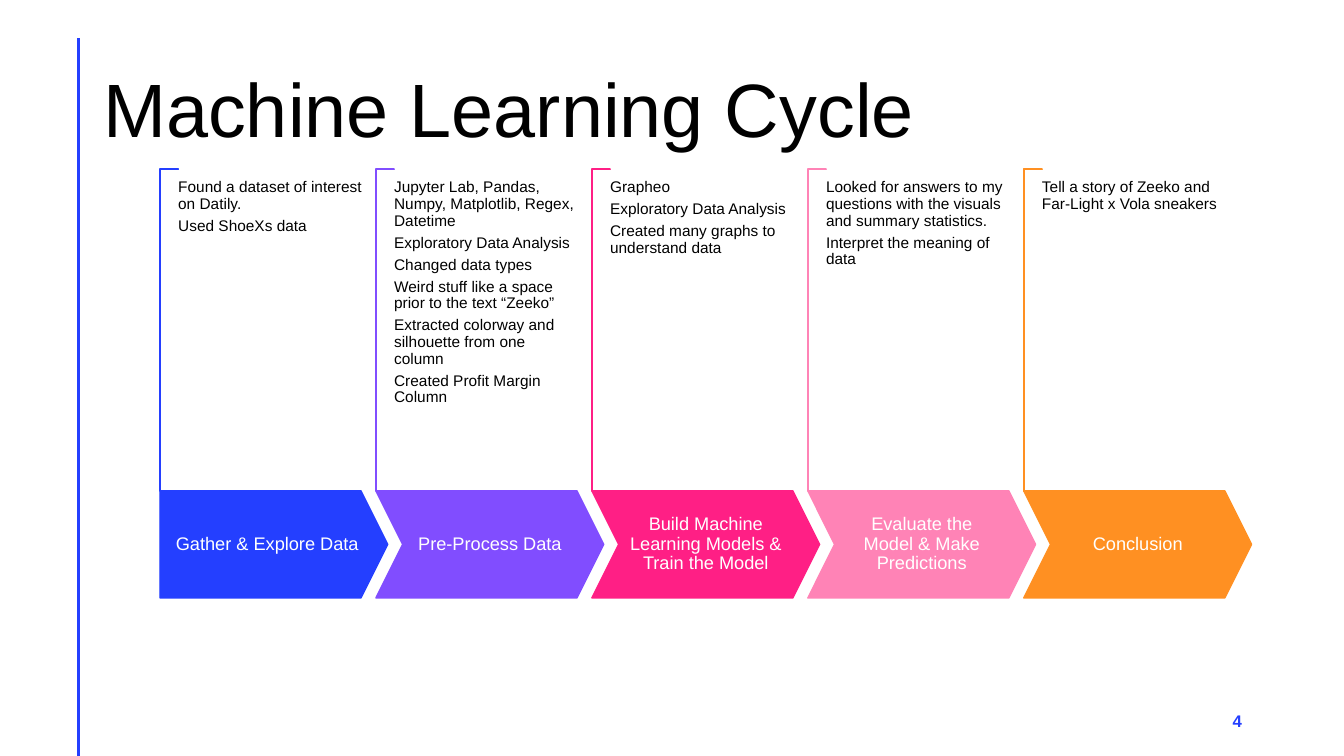
from lxml.etree import SubElement
from pptx import Presentation
from pptx.dml.color import RGBColor
from pptx.enum.shapes import MSO_CONNECTOR as Line, MSO_SHAPE as Shape
from pptx.enum.text import MSO_ANCHOR as Anchor, MSO_AUTO_SIZE as AutoSize, PP_ALIGN as Align
from pptx.oxml.ns import qn
from pptx.util import Pt

BLUE = RGBColor(0x24, 0x3F, 0xFF)
PURPLE = RGBColor(0x81, 0x4D, 0xFF)
MAGENTA = RGBColor(0xFF, 0x1F, 0x85)
PINK = RGBColor(0xFF, 0x83, 0xB6)
ORANGE = RGBColor(0xFF, 0x90, 0x22)
WHITE = RGBColor(0xFF, 0xFF, 0xFF)
BLACK = RGBColor(0, 0, 0)

TITLE = "Machine Learning Cycle"
PAGE = "4"
STAGES = [
    ("Gather & Explore Data", BLUE, [
        "Found a dataset of interest on Datily.",
        "Used ShoeXs data"]),
    ("Pre-Process Data", PURPLE, [
        "Jupyter Lab, Pandas, Numpy, Matplotlib, Regex, Datetime",
        "Exploratory Data Analysis",
        "Changed data types",
        "Weird stuff like a space prior to the text “Zeeko”",
        "Extracted colorway and silhouette from one column",
        "Created Profit Margin Column"]),
    ("Build Machine Learning Models & Train the Model", MAGENTA, [
        "Grapheo",
        "Exploratory Data Analysis",
        "Created many graphs to understand data"]),
    ("Evaluate the Model & Make Predictions", PINK, [
        "Looked for answers to my questions with the visuals and summary statistics.",
        "Interpret the meaning of data"]),
    ("Conclusion", ORANGE, [
        "Tell a story of Zeeko and Far-Light x Vola sneakers"]),
]

LEFT, PITCH = 114.3, 154.25
ARROW_TOP, ARROW_W, ARROW_H = 350.6, 162.7, 76.5
BRACKET_TOP, BRACKET_W = 120.8, 13
BRACKET_H = ARROW_TOP - BRACKET_TOP


def write(tf, lines, size, color, align=Align.LEFT, anchor=Anchor.TOP,
          inset=(0, 0), spacing=0.9, after=0, bold=False):
    tf.word_wrap = True
    tf.auto_size = AutoSize.NONE
    tf.vertical_anchor = anchor
    tf.margin_left = tf.margin_right = Pt(inset[0])
    tf.margin_top = tf.margin_bottom = Pt(inset[1])
    for i, line in enumerate(lines):
        p = tf.add_paragraph() if i else tf.paragraphs[0]
        p.alignment = align
        p.line_spacing = spacing
        p.space_before = Pt(0)
        p.space_after = Pt(after)
        r = p.add_run()
        r.text = line
        r.font.name = "Arial"
        r.font.size = Pt(size)
        r.font.bold = bold
        r.font.color.rgb = color


def add_shape(s, kind, box, fill, line, adjustments):
    sp = s.shapes.add_shape(kind, *map(Pt, box))
    sp.shadow.inherit = False
    sp.fill.solid()
    sp.fill.fore_color.rgb = fill
    sp.line.color.rgb = line
    sp.line.width = Pt(1)
    for i, value in enumerate(adjustments):
        sp.adjustments[i] = value
    return sp


def add_stage(s, i, label, color, notes):
    x = LEFT + i * PITCH
    box = (x + (BRACKET_W - BRACKET_H) / 2, BRACKET_TOP + (BRACKET_H - BRACKET_W) / 2,
           BRACKET_H, BRACKET_W)
    bracket = add_shape(s, Shape.CORNER, box, WHITE, color, (0.01, 0.01))
    bracket.rotation = 90

    kind = Shape.CHEVRON if i else Shape.PENTAGON
    arrow = add_shape(s, kind, (x, ARROW_TOP, ARROW_W, ARROW_H), color, color, (0.25,))
    write(arrow.text_frame, [label], 13, WHITE, align=Align.CENTER,
          anchor=Anchor.MIDDLE, inset=(6.8, 6.8))

    note = s.shapes.add_textbox(Pt(x + BRACKET_W), Pt(128.2), Pt(131.8), Pt(214.5))
    write(note.text_frame, notes, 11, BLACK, after=3.85)


def main():
    prs = Presentation()
    prs.slide_width, prs.slide_height = Pt(960), Pt(540)
    s = prs.slides.add_slide(prs.slide_layouts[5])

    rule = s.shapes.add_connector(Line.STRAIGHT, Pt(56.2), Pt(27.5), Pt(56.2), Pt(540))
    rule.line.color.rgb = BLUE
    rule.line.width = Pt(2)
    SubElement(rule.element.spPr, qn("a:effectLst"))

    title = s.shapes.title
    title.left, title.top, title.width, title.height = Pt(66.5), Pt(28.8), Pt(828), Pt(104.4)
    write(title.text_frame, [TITLE], 54, BLACK, anchor=Anchor.MIDDLE, inset=(7.2, 3.6))

    page = s.shapes.add_textbox(Pt(678.2), Pt(500.4), Pt(216), Pt(28.8))
    write(page.text_frame, [PAGE], 12, BLUE, align=Align.RIGHT, anchor=Anchor.MIDDLE,
          inset=(7.2, 3.6), spacing=1.0, bold=True)

    for i, stage in enumerate(STAGES):
        add_stage(s, i, *stage)
    prs.save("out.pptx")


if __name__ == "__main__":
    main()
